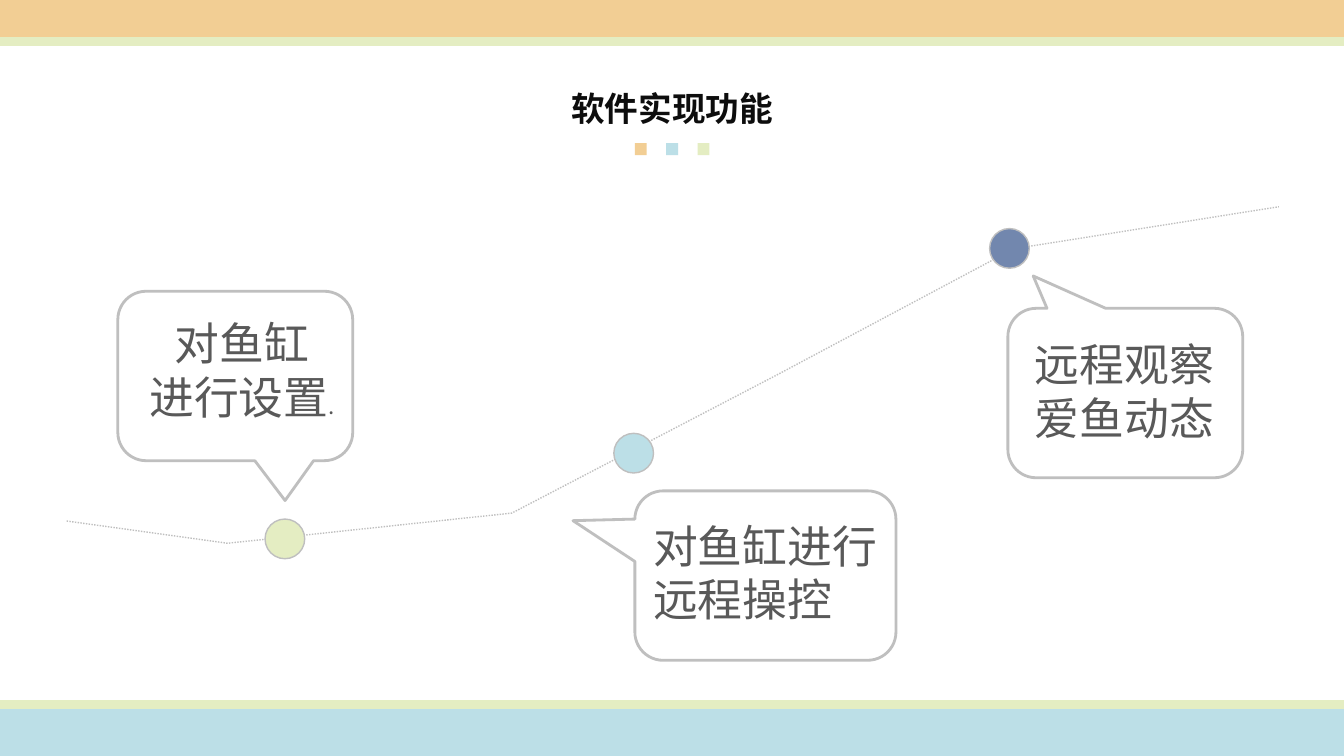
from pptx import Presentation
from pptx.dml.color import RGBColor
from pptx.enum.dml import MSO_LINE_DASH_STYLE as DASH
from pptx.enum.shapes import MSO_SHAPE as SHAPE
from pptx.enum.text import MSO_ANCHOR as ANCHOR, PP_ALIGN as ALIGN
from pptx.oxml.ns import qn
from pptx.util import Cm, Pt
from lxml.etree import SubElement

FONT = "Noto Sans CJK SC"
ORANGE, GREEN, SKY, BLUE = "F2CE94", "E4EDC2", "BCDFE7", "7287AE"
OUTLINE, BODY, HEADING = "BFBFBF", "595959", "0D0D0D"


def rgb(color):
    return RGBColor.from_string(color)


def paint(shape, fill=None, line=None, width=1):
    shape.shadow.inherit = False
    if fill:
        shape.fill.solid()
        shape.fill.fore_color.rgb = rgb(fill)
    else:
        shape.fill.background()
    if line:
        shape.line.color.rgb = rgb(line)
        shape.line.width = Pt(width)
    else:
        shape.line.fill.background()


def add_part(shapes, kind, box, **style):
    part = shapes.add_shape(kind, *map(Cm, box))
    paint(part, **style)
    return part


def add_words(slide, box, lines, size, color, align, wrap=False, bold=False):
    frame = slide.shapes.add_textbox(*map(Cm, box)).text_frame
    frame.word_wrap = wrap
    frame.vertical_anchor = ANCHOR.TOP
    for i, line in enumerate(lines):
        paragraph = frame.paragraphs[0] if i == 0 else frame.add_paragraph()
        paragraph.text = line
        paragraph.alignment = align
        paragraph.line_spacing = Pt(size * 1.19)
        for run in paragraph.runs:
            style_run(run, size, color, bold)
    return frame


def style_run(run, size, color, bold=False):
    run.font.size = Pt(size)
    run.font.bold = bold
    run.font.name = FONT
    run.font.color.rgb = rgb(color)
    SubElement(run.font._element, qn("a:ea")).set("typeface", FONT)


def add_heading(slide, box):
    left, top, width, height = box
    add_words(slide, box, ["软件实现功能"], 24, HEADING, ALIGN.CENTER, bold=True)
    # Three small squares centred under the title
    side, step = 0.3, 0.79
    first = left + (width - side) / 2 - step
    squares = slide.shapes.add_group_shape().shapes
    for i, color in enumerate((ORANGE, SKY, GREEN)):
        add_part(squares, SHAPE.RECTANGLE,
                 (first + i * step, top + height + 0.23, side, side), fill=color)


def add_path(slide, box):
    left, top = box[:2]
    # Dotted rising line
    bends = [(0, 7.92), (4.06, 8.48), (11.22, 7.72), (17.9, 4.24), (23.87, 1.06), (30.55, 0)]
    points = [(Cm(left + x), Cm(top + y)) for x, y in bends]
    builder = slide.shapes.build_freeform(*points[0])
    builder.add_line_segments(points[1:], close=False)
    rise = builder.convert_to_shape()
    paint(rise, line=OUTLINE)
    rise.line.dash_style = DASH.ROUND_DOT
    # Milestones on the line
    size = 1
    for x, y, color in ((5.5, 8.37, GREEN), (14.29, 6.21, SKY), (23.76, 1.05, BLUE)):
        add_part(slide.shapes, SHAPE.OVAL,
                 (left + x - size / 2, top + y - size / 2, size, size),
                 fill=color, line=OUTLINE)


def add_callout(slide, box, tip, offset, words_size, lines, align, wrap=False):
    bubble = add_part(slide.shapes, SHAPE.ROUNDED_RECTANGULAR_CALLOUT, box,
                      line=OUTLINE, width=2)
    for i, value in enumerate((*tip, 0.167)):
        bubble.adjustments[i] = value
    words_box = (box[0] + offset[0], box[1] + offset[1], *words_size)
    return add_words(slide, words_box, lines, 32, BODY, align, wrap)


def add_bands(slide, bands):
    for *box, color in bands:
        add_part(slide.shapes, SHAPE.RECTANGLE, box, fill=color, line=color)


def main():
    prs = Presentation()
    prs.slide_width, prs.slide_height = Cm(33.87), Cm(19.05)
    slide = prs.slides.add_slide(prs.slide_layouts[6])

    add_heading(slide, (14.12, 2.11, 5.64, 1.27))
    add_path(slide, (1.68, 5.21, 30.55, 8.48))

    # Features of the software
    settings = add_callout(slide, (2.97, 7.34, 5.92, 4.27), (0.212, 0.735),
                           (-1.34, 0.51), (8.94, 3.05),
                           ["对鱼缸", "进行设置"], ALIGN.CENTER, wrap=True)
    full_stop = settings.paragraphs[1].add_run()
    full_stop.text = "."
    style_run(full_stop, 16, BODY)
    add_callout(slide, (16, 12.37, 6.58, 4.27), (-0.737, -0.324),
                (0.21, 0.58), (6.22, 4.37),
                ["对鱼缸进行", "远程操控"], ALIGN.JUSTIFY)
    add_callout(slide, (25.4, 7.77, 5.92, 4.27), (-0.392, -0.691),
                (0.43, 0.61), (5.08, 3),
                ["远程观察", "爱鱼动态"], ALIGN.JUSTIFY)

    # Bottom and top bands
    add_bands(slide, [(-0.76, 17.65, 36.22, 1.17, GREEN),
                      (-0.76, 17.88, 36.22, 1.17, SKY),
                      (-0.25, -0.25, 34.7, 1.4, GREEN),
                      (-0.25, -0.05, 34.7, 0.97, ORANGE)])
    prs.save("out.pptx")


if __name__ == "__main__":
    main()
